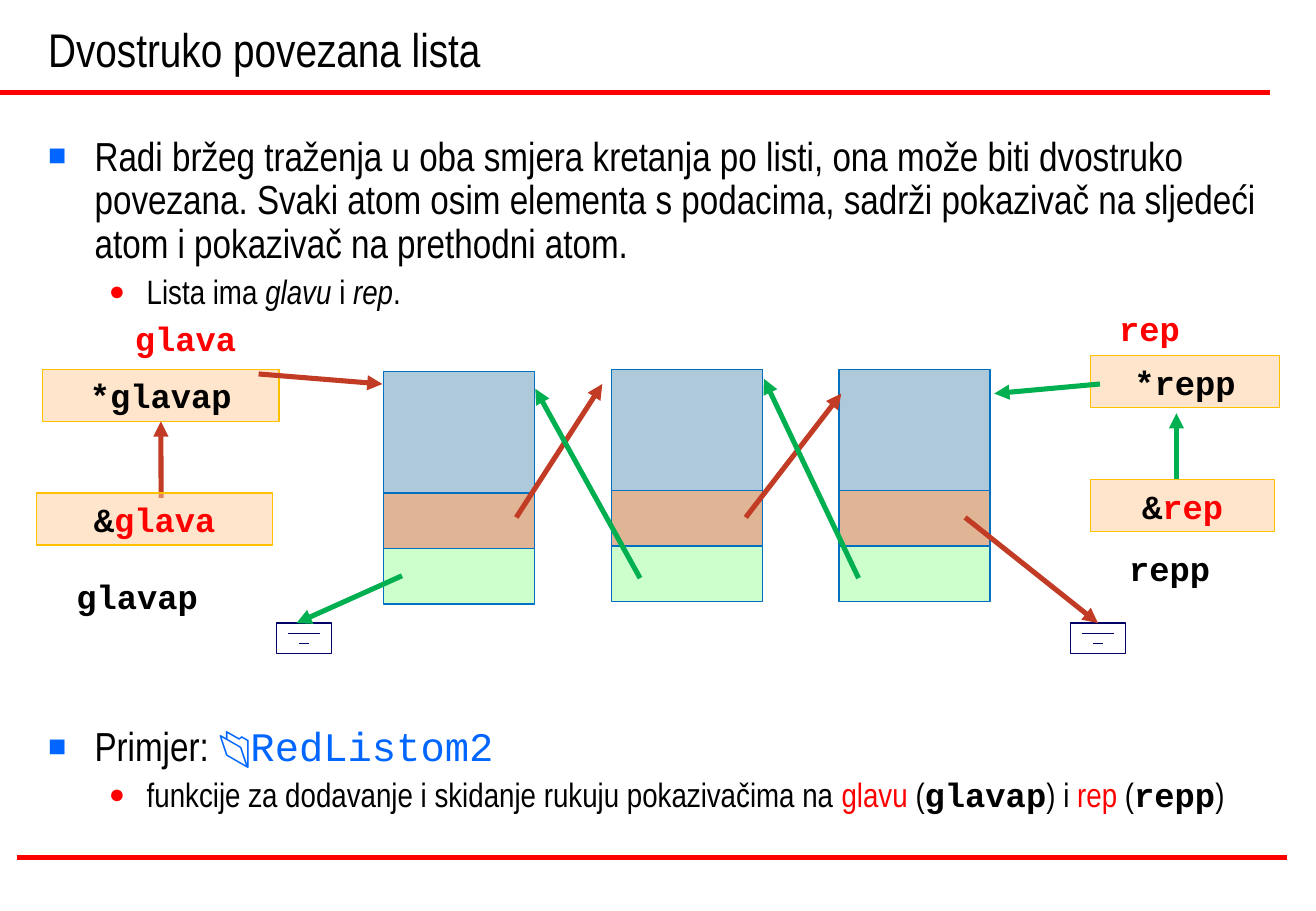
from dataclasses import dataclass
from typing import Optional

from lxml import etree
from pptx import Presentation
from pptx.dml.color import RGBColor
from pptx.enum import shapes, text
from pptx.oxml import ns
from pptx.util import Cm, Pt

COLORS = {
    "black": "000000", "red": "FF0000", "blue": "0066FF", "navy": "000066",
    "data": "AEC9DA", "next": "B6540A", "prev": "CCFFCC", "edge": "0070C0",
    "peach": "FFCC99", "gold": "FFC000", "forward": "C13B25", "back": "00B050",
}
NARROW, MONO = "Arial Narrow", "Courier New"


@dataclass
class Span:
    text: str
    color: str = "black"
    font: str = NARROW
    bold: bool = False
    italic: bool = False


@dataclass
class Bullet:
    mark: str
    color: str
    percent: int
    margin: float
    hanging: float
    size: int
    before: int


@dataclass
class Pointer:
    """A filled box or a plain label that holds monospaced text."""
    left: float
    top: float
    width: float
    height: float
    spans: list


@dataclass
class Arrow:
    color: str
    start: tuple
    end: tuple
    target: Optional[tuple] = None  # shape and side to join


MAIN = Bullet("■", "blue", 75, 0.97, 0.97, 24, 6)
SUB = Bullet("●", "red", 80, 2.06, 0.79, 20, 5)


def rgb(name: str) -> RGBColor:
    return RGBColor.from_string(COLORS[name])


def add_xml(parent, tag: str, **attributes: str):
    return etree.SubElement(parent, ns.qn(tag), attributes)


def write_spans(para, spans: list, size: int) -> None:
    for item in spans:
        span = para.add_run()
        span.text = item.text
        formats = {"name": item.font, "size": Pt(size), "bold": item.bold, "italic": item.italic}
        for key, value in formats.items():
            setattr(span.font, key, value)
        span.font.color.rgb = rgb(item.color)


def add_box(page, left: float, top: float, width: float, height: float, **formats):
    box = page.shapes.add_textbox(Cm(left), Cm(top), Cm(width), Cm(height))
    for key, value in {"word_wrap": True, **formats}.items():
        setattr(box.text_frame, key, value)
    return box


def add_bullets(page, top: float, height: float, items: list) -> None:
    frame = add_box(page, 0.76, top, 26.01, height).text_frame
    for index, (bullet, spans) in enumerate(items):
        para = frame.add_paragraph() if index else frame.paragraphs[0]
        properties = para._p.get_or_add_pPr()
        properties.set("marL", str(Cm(bullet.margin)))
        properties.set("indent", str(-Cm(bullet.hanging)))
        add_xml(add_xml(properties, "a:buClr"), "a:srgbClr", val=COLORS[bullet.color])
        add_xml(properties, "a:buSzPct", val=str(bullet.percent * 1000))
        add_xml(properties, "a:buFont", typeface="Arial")
        add_xml(properties, "a:buChar", char=bullet.mark)
        para.line_spacing = 0.9
        para.space_before = Pt(bullet.before if index else 0)
        write_spans(para, spans, bullet.size)


def add_rectangle(page, left: float, top: float, width: float, height: float,
                  line: str, fill: Optional[str] = None, opacity: int = 100):
    box = page.shapes.add_shape(shapes.MSO_SHAPE.RECTANGLE,
                                Cm(left), Cm(top), Cm(width), Cm(height))
    box.shadow.inherit = False
    box.line.color.rgb = rgb(line)
    box.line.width = Pt(0.75)
    if fill is None:
        box.fill.background()
        return box
    box.fill.solid()
    box.fill.fore_color.rgb = rgb(fill)
    if opacity < 100:
        color = box._element.spPr.find(ns.qn("a:solidFill"))[0]
        add_xml(color, "a:alpha", val=str(opacity * 1000))
    return box


def add_line(page, start: tuple, end: tuple, color: str, width: float):
    line = page.shapes.add_connector(shapes.MSO_CONNECTOR.STRAIGHT,
                                     *(Cm(value) for value in start + end))
    line.line.color.rgb = rgb(color)
    line.line.width = Pt(width)
    add_xml(line._element.spPr, "a:effectLst")
    return line


def add_arrow(page, arrow: Arrow) -> None:
    line = add_line(page, arrow.start, arrow.end, arrow.color, 3)
    add_xml(line.line._get_or_add_ln(), "a:tailEnd", type="triangle")
    if arrow.target:
        line.end_connect(*arrow.target)


def add_pointer(page, pointer: Pointer):
    box = add_rectangle(page, pointer.left, pointer.top, pointer.width, pointer.height,
                        "gold", "peach", 50)
    box.text_frame.word_wrap = False
    box.text_frame.vertical_anchor = text.MSO_ANCHOR.MIDDLE
    para = box.text_frame.paragraphs[0]
    para.alignment = text.PP_ALIGN.CENTER
    write_spans(para, pointer.spans, 20)
    return box


def add_atom(page, left: float, top: float) -> None:
    """Stack the data, next-pointer and previous-pointer fields."""
    for fill, height, opacity in (("data", 2.54, 100), ("next", 1.16, 43), ("prev", 1.16, 100)):
        add_rectangle(page, left, top, 3.16, height, "edge", fill, opacity)
        top += height


def add_null(page, left: float, top: float):
    """Draw the boxed ground symbol that ends the list."""
    width = 1.14
    for step in range(3):
        inset, level = 0.23 * step, top + 0.21 * step
        add_line(page, (left + inset, level), (left + width - inset, level), "navy", 0.75)
    return add_rectangle(page, left, top, width, 0.64, "navy")


def mono(words: str, color: str = "black") -> Span:
    return Span(words, color, MONO, bold=True)


def main() -> None:
    deck = Presentation()
    deck.slide_width, deck.slide_height = Cm(27.53), Cm(19.05)
    page = deck.slides.add_slide(deck.slide_layouts[6])

    add_line(page, (0, 1.93), (26.57, 1.93), "red", 3)
    add_line(page, (0.36, 17.93), (26.92, 17.93), "red", 3)
    title = add_box(page, 0.76, 0, 25.81, 1.73, vertical_anchor=text.MSO_ANCHOR.BOTTOM)
    write_spans(title.text_frame.paragraphs[0], [Span("Dvostruko povezana lista")], 28)

    add_bullets(page, 2.72, 4, [
        (MAIN, [Span("Radi bržeg traženja u oba smjera kretanja po listi, ona može biti "
                     "dvostruko povezana. Svaki atom osim elementa s podacima, sadrži "
                     "pokazivač na sljedeći atom i pokazivač na prethodni atom.")]),
        (SUB, [Span("Lista ima "), Span("glavu", italic=True), Span(" i "),
               Span("rep", italic=True), Span(".")]),
    ])
    add_bullets(page, 15.06, 2.4, [
        (MAIN, [Span("Primjer: "), Span("📂", "blue", "Arial"),
                Span("RedListom2", "blue", MONO)]),
        (SUB, [Span("funkcije za dodavanje i skidanje rukuju pokazivačima na "),
               Span("glavu", "red"), Span(" ("), mono("glavap"), Span(") i "),
               Span("rep", "red"), Span(" ("), mono("repp"), Span(")")]),
    ])

    for index, top in enumerate((7.77, 7.72, 7.72)):
        add_atom(page, 8.03 + 4.76 * index, top)
    add_null(page, 5.79, 13.03)
    last_null = add_null(page, 22.4, 13.03)
    head = add_pointer(page, Pointer(0.89, 7.72, 4.95, 1.09, [mono("*glavap")]))
    add_pointer(page, Pointer(22.81, 7.44, 3.96, 1.09, [mono("*repp")]))

    for arrow in (
        Arrow("forward", (3.37, 10.41), (3.37, 8.81), (head, 2)),
        Arrow("forward", (5.41, 7.82), (8, 8.03)),
        Arrow("forward", (10.8, 10.82), (12.6, 8.03)),
        Arrow("forward", (15.6, 10.82), (17.6, 8.23)),
        Arrow("forward", (20.19, 10.82), (22.97, 13.03), (last_null, 0)),
        Arrow("back", (17.96, 12.09), (15.98, 7.92)),
        Arrow("back", (13.39, 12.09), (11.2, 8.13)),
        Arrow("back", (8.41, 12.04), (6.2, 13.03)),
        Arrow("back", (24.61, 10.03), (24.61, 8.64)),
        Arrow("back", (23.01, 8.03), (20.8, 8.23)),
    ):
        add_arrow(page, arrow)

    add_pointer(page, Pointer(0.76, 10.31, 4.95, 1.09, [mono("&"), mono("glava", "red")]))
    add_pointer(page, Pointer(22.81, 10.03, 3.86, 1.09, [mono("&"), mono("rep", "red")]))
    for label in (
        Pointer(2.57, 6.53, 2.79, 1.12, [mono("glava", "red")]),
        Pointer(1.35, 11.91, 3.81, 1.12, [mono("glavap")]),
        Pointer(23.16, 6.32, 3.61, 1.12, [mono("rep", "red")]),
        Pointer(23.37, 11.33, 2.79, 1.12, [mono("repp")]),
    ):
        box = add_box(page, label.left, label.top, label.width, label.height)
        write_spans(box.text_frame.paragraphs[0], label.spans, 20)

    deck.save("out.pptx")


if __name__ == "__main__":
    main()
